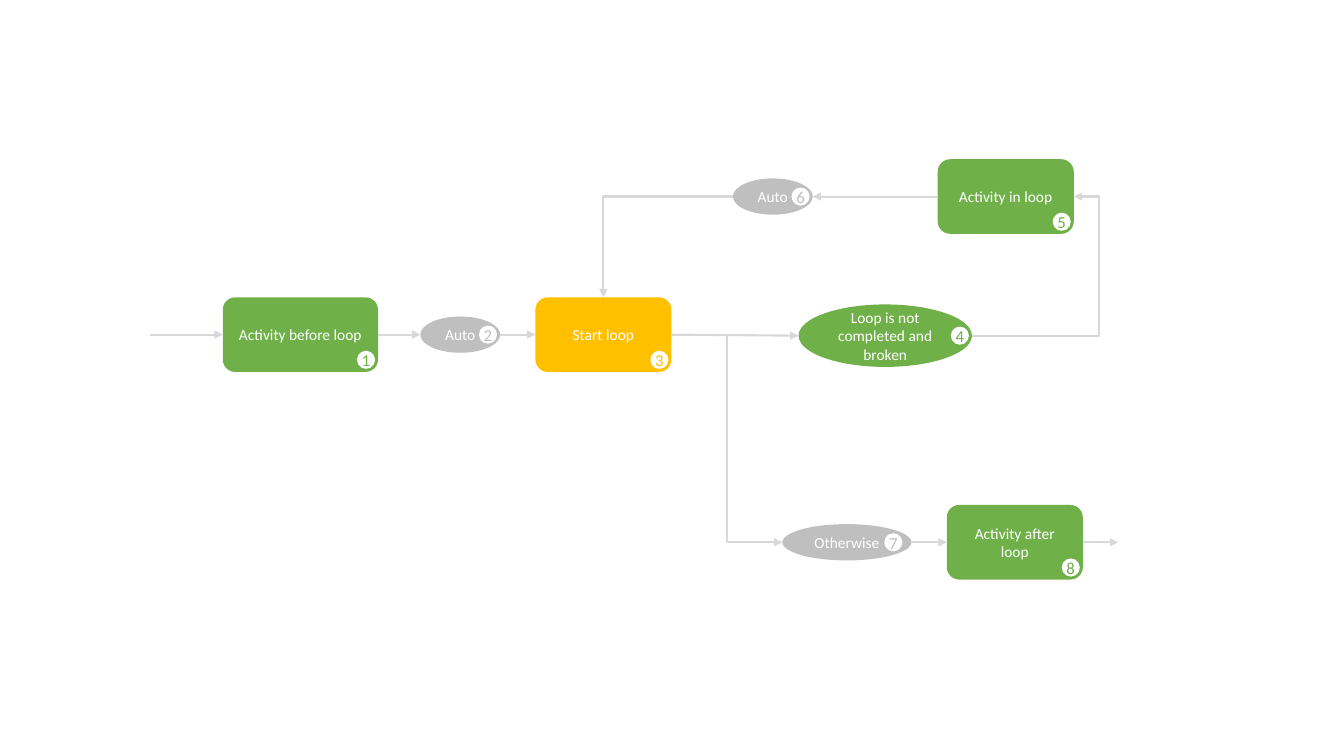
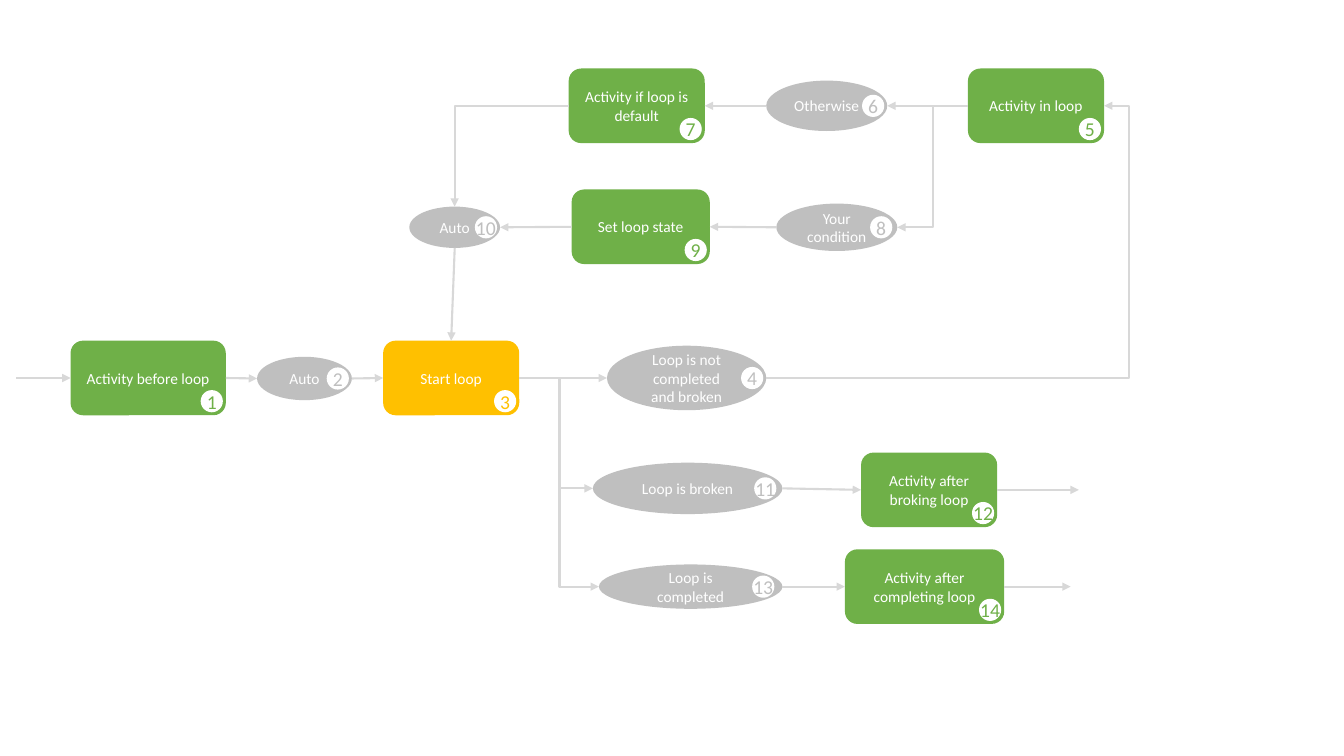
import pptx
import pptx.dml.color
import pptx.enum.shapes
import pptx.enum.text
import pptx.oxml
import pptx.oxml.ns
import pptx.util
from pptx.util import Inches

SHAPES = pptx.enum.shapes.MSO_SHAPE
CONNECTORS = pptx.enum.shapes.MSO_CONNECTOR

GREEN, AMBER, GREY = "6FB048", "FFC000", "BFBFBF"
WHITE, ARROW_GREY = "FFFFFF", "D8D8D8"

ACTIVITY_WIDTH, ACTIVITY_HEIGHT = 1.35, 0.74

# Connection sites, in the order of a rectangle's site numbers,
# each with its place as fractions of the width and height.
SIDES = {"top": (0.5, 0), "left": (0, 0.5), "bottom": (0.5, 1), "right": (1, 0.5)}


def color(hex_value):
    return pptx.dml.color.RGBColor.from_string(hex_value)


def add_xml(parent, tag, **attributes):
    child = pptx.oxml.parse_xml(
        '<%s xmlns:a="http://schemas.openxmlformats.org/drawingml/2006/main"/>' % tag
    )
    for name, value in attributes.items():
        child.set(name, str(value))
    parent.append(child)


class FlowPage:
    """One slide of numbered steps joined by arrows."""

    font = "Calibri"
    text_size = 11
    arrow_width = 1.5

    def __init__(self, deck, badge_size, number_size):
        self.shapes = deck.slides.add_slide(deck.slide_layouts[6]).shapes
        self.badge_size = badge_size
        self.number_size = number_size
        self.steps = {}

    def labelled_shape(self, kind, at, fill, text, text_color, size, **frame_format):
        shape = self.shapes.add_shape(kind, *map(Inches, at))
        shape.shadow.inherit = False
        shape.fill.solid()
        shape.fill.fore_color.rgb = color(fill)
        shape.line.fill.background()
        frame = shape.text_frame
        frame_values = {
            "word_wrap": True,
            "vertical_anchor": pptx.enum.text.MSO_ANCHOR.MIDDLE,
            **frame_format,
        }
        for name, value in frame_values.items():
            setattr(frame, name, value)
        para = frame.paragraphs[0]
        para.alignment = pptx.enum.text.PP_ALIGN.CENTER
        span = para.add_run()
        span.text = text
        for name, value in {"name": self.font, "size": pptx.util.Pt(size)}.items():
            setattr(span.font, name, value)
        span.font.color.rgb = color(text_color)
        return shape

    def badge(self, number, left, top, number_color):
        margins = dict.fromkeys(
            ["margin_left", "margin_right", "margin_top", "margin_bottom"], 0
        )
        self.labelled_shape(
            SHAPES.OVAL, (left, top, self.badge_size, self.badge_size), WHITE,
            str(number), number_color, self.number_size, word_wrap=False, **margins,
        )

    def activity(self, number, text, left, top, width=ACTIVITY_WIDTH, fill=GREEN):
        """Rounded box with its number in the lower right corner."""
        self.steps[number] = self.labelled_shape(
            SHAPES.ROUNDED_RECTANGLE, (left, top, width, ACTIVITY_HEIGHT),
            fill, text, WHITE, self.text_size,
        )
        inset = self.badge_size + 0.03
        self.badge(number, left + width - inset, top + ACTIVITY_HEIGHT - inset, fill)

    def condition(self, number, text, left, top, width, height, fill=GREY, inset=0.03):
        """Ellipse with its number at the right end."""
        self.steps[number] = self.labelled_shape(
            SHAPES.OVAL, (left, top, width, height), fill, text, WHITE, self.text_size
        )
        self.badge(
            number, left + width - inset - self.badge_size,
            top + (height - self.badge_size) / 2, fill,
        )

    def point(self, end):
        """Position of an end: (step number, side), or a free (x, y) in inches."""
        if end[1] not in SIDES:
            return tuple(map(Inches, end))
        step = self.steps[end[0]]
        across, down = SIDES[end[1]]
        return int(step.left + across * step.width), int(step.top + down * step.height)

    def glue(self, connector, tag, end):
        if end[1] not in SIDES:
            return
        step = self.steps[end[0]]
        site = list(SIDES).index(end[1])
        if step.auto_shape_type == SHAPES.OVAL:
            site *= 2  # an ellipse also has sites on its diagonals
        parent = connector._element.find(".//" + pptx.oxml.ns.qn("p:cNvCxnSpPr"))
        add_xml(parent, tag, id=step.shape_id, idx=site)

    def arrow(self, start, end, bend=None, corner=False):
        """Straight arrow; with bend, an elbow turning at that x; or one corner."""
        begin, finish = self.point(start), self.point(end)
        elbow = corner or bend is not None
        kind = CONNECTORS.ELBOW if elbow else CONNECTORS.STRAIGHT
        connector = self.shapes.add_connector(kind, *begin, *finish)
        connector.line.color.rgb = color(ARROW_GREY)
        connector.line.width = pptx.util.Pt(self.arrow_width)
        properties = connector._element.spPr
        add_xml(connector.line._get_or_add_ln(), "a:tailEnd", type="triangle")
        add_xml(properties, "a:effectLst")
        geometry = properties.find(pptx.oxml.ns.qn("a:prstGeom"))
        if corner:
            geometry.set("prst", "bentConnector2")
        elif elbow:
            ratio = (Inches(bend) - begin[0]) / (finish[0] - begin[0])
            guides = geometry.find(pptx.oxml.ns.qn("a:avLst"))
            add_xml(guides, "a:gd", name="adj1", fmla="val %d" % round(ratio * 100000))
        self.glue(connector, "a:stCxn", start)
        self.glue(connector, "a:endCxn", end)

    def chain(self, *numbers, leaving="right", entering="left"):
        for first, second in zip(numbers, numbers[1:]):
            self.arrow((first, leaving), (second, entering))


def simple_loop(deck):
    page = FlowPage(deck, badge_size=0.18, number_size=12)
    page.activity(1, "Activity before loop", 2.21, 2.95, width=1.54)
    page.condition(2, "Auto", 4.17, 3.14, 0.79, 0.36)
    page.activity(3, "Start loop", 5.31, 2.95, fill=AMBER)
    page.condition(
        4, "Loop is not completed and broken", 7.92, 3.02, 1.72, 0.62, fill=GREEN
    )
    page.activity(5, "Activity in loop", 9.3, 1.58)
    page.condition(6, "Auto", 7.27, 1.77, 0.79, 0.36)
    page.condition(7, "Otherwise", 7.76, 5.2, 1.28, 0.36, inset=0.09)
    page.activity(8, "Activity after loop", 9.39, 5.01)

    page.arrow((1.49, 3.32), (1, "left"))
    page.chain(1, 2, 3, 4)
    page.arrow((4, "right"), (5, "right"), bend=10.9)
    page.chain(5, 6, leaving="left", entering="right")
    page.arrow((6, "left"), (3, "top"), corner=True)
    page.arrow((3, "right"), (7, "left"), bend=7.21)
    page.chain(7, 8)
    page.arrow((8, "right"), (11.09, 5.38))


def loop_with_conditions(deck):
    page = FlowPage(deck, badge_size=0.22, number_size=14)
    page.activity(1, "Activity before loop", 0.7, 3.38, width=1.54)
    page.condition(2, "Auto", 2.55, 3.54, 0.94, 0.43)
    page.activity(3, "Start loop", 3.8, 3.38, fill=AMBER)
    page.condition(4, "Loop is not completed and broken", 6.02, 3.43, 1.58, 0.64)
    page.activity(5, "Activity in loop", 9.6, 0.68)
    page.condition(6, "Otherwise", 7.6, 0.8, 1.2, 0.5)
    page.activity(7, "Activity if loop is default", 5.64, 0.68)
    page.condition(8, "Your condition", 7.7, 2.02, 1.2, 0.47, inset=0.05)
    page.activity(9, "Set loop state", 5.67, 1.88, width=1.37)
    page.condition(10, "Auto", 4.06, 2.05, 0.9, 0.41)
    page.condition(11, "Loop is broken", 5.88, 4.59, 1.88, 0.51, inset=0.06)
    page.activity(12, "Activity after broking loop", 8.54, 4.49)
    page.condition(13, "Loop is completed", 5.94, 5.6, 1.82, 0.44, inset=0.08)
    page.activity(14, "Activity after completing loop", 8.38, 5.45, width=1.58)

    page.arrow((0.16, 3.75), (1, "left"))
    page.chain(1, 2, 3, 4)
    page.arrow((4, "right"), (5, "right"), bend=11.2)
    page.chain(5, 6, 7, leaving="left", entering="right")
    page.arrow((5, "left"), (8, "right"), bend=9.25)
    page.chain(8, 9, 10, leaving="left", entering="right")
    page.arrow((7, "left"), (10, "top"), corner=True)
    page.chain(10, 3, leaving="bottom", entering="top")
    for condition, activity, exit_point in [
        (11, 12, (10.7, 4.86)),
        (13, 14, (10.62, 5.82)),
    ]:
        page.arrow((3, "right"), (condition, "left"), bend=5.55)
        page.chain(condition, activity)
        page.arrow((activity, "right"), exit_point)


def main():
    deck = pptx.Presentation()
    deck.slide_width, deck.slide_height = Inches(13.33), Inches(7.5)
    simple_loop(deck)
    loop_with_conditions(deck)
    deck.save("out.pptx")


if __name__ == "__main__":
    main()
